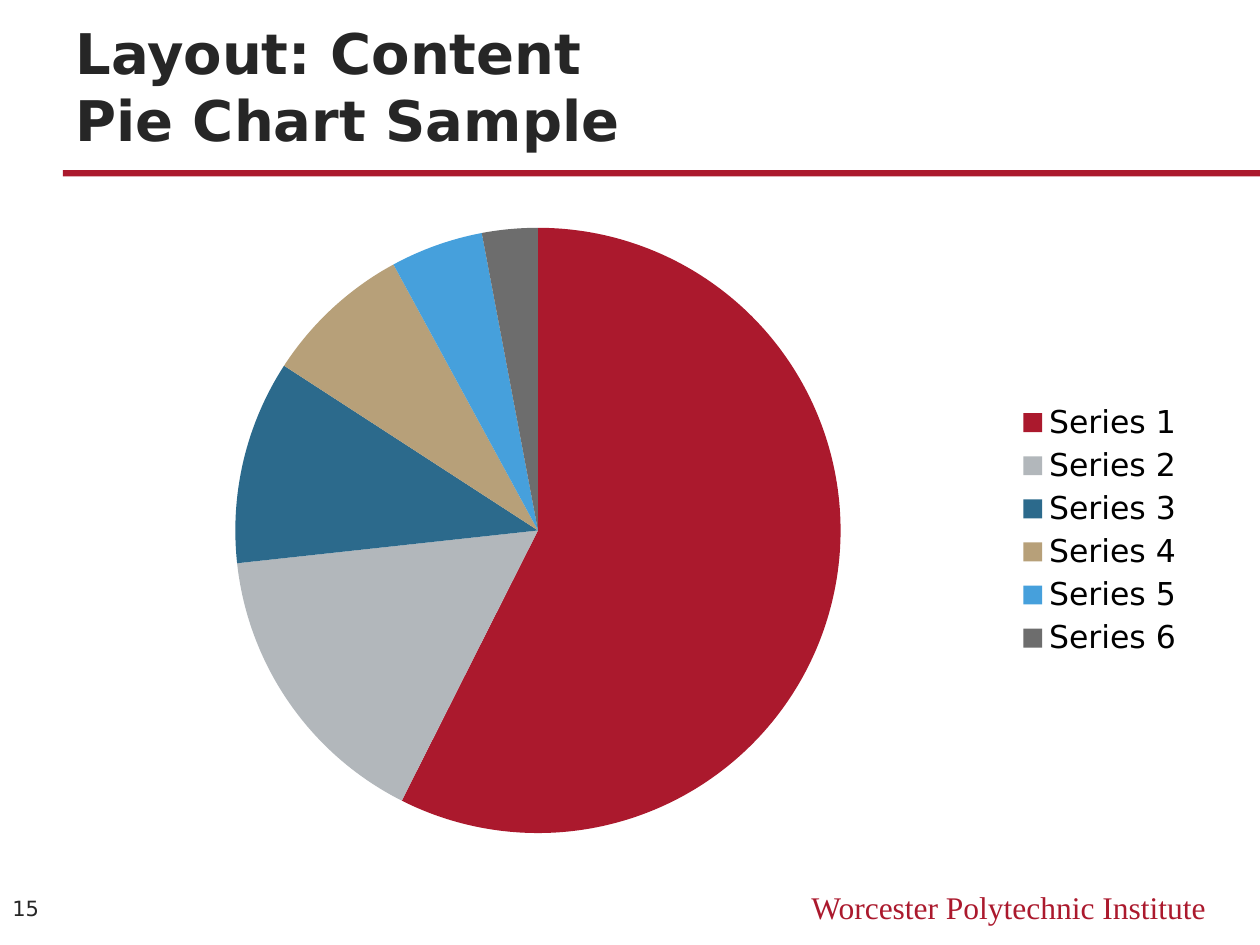
from dataclasses import dataclass

from pptx import Presentation
from pptx.chart.data import CategoryChartData
from pptx.dml.color import RGBColor
from pptx.enum.chart import XL_CHART_TYPE, XL_LEGEND_POSITION
from pptx.enum.shapes import MSO_SHAPE
from pptx.enum.text import MSO_ANCHOR, PP_ALIGN
from pptx.util import Inches, Pt


@dataclass(frozen=True)
class Theme:
    red: str = "AB192D"
    ink: str = "262626"
    black: str = "000000"
    slices: tuple = ("AB192D", "B2B7BB", "2C6A8C", "B7A079", "46A0DC", "6D6D6D")
    sans: str = "DejaVu Sans"
    serif: str = "Times New Roman"
    title: int = 32
    body: int = 18
    small: int = 12


THEME = Theme()
SHARES = (58, 16, 11, 8, 5, 3)


def style_font(font, color, **formats):
    font.color.rgb = RGBColor.from_string(color)
    for name, value in formats.items():
        setattr(font, name, value)


def add_text(s, box, text, color, anchor=MSO_ANCHOR.TOP, align=PP_ALIGN.LEFT, **formats):
    tf = s.shapes.add_textbox(*map(Inches, box)).text_frame
    tf.word_wrap = True
    tf.vertical_anchor = anchor
    p = tf.paragraphs[0]
    p.text = text
    p.alignment = align
    for r in p.runs:
        style_font(r.font, color, **formats)


def add_header(s, box):
    left, top, width, height = box
    add_text(s, (left, top, 9, 0.88), "Layout: Content\vPie Chart Sample", THEME.ink,
             anchor=MSO_ANCHOR.BOTTOM, name=THEME.sans, size=Pt(THEME.title), bold=True)
    thickness = 0.05
    rule_box = (left, top + height - thickness, width, thickness)
    rule = s.shapes.add_shape(MSO_SHAPE.RECTANGLE, *map(Inches, rule_box))
    rule.shadow.inherit = False
    rule.fill.solid()
    rule.fill.fore_color.rgb = RGBColor.from_string(THEME.red)
    rule.line.fill.background()


def add_pie(s, box):
    data = CategoryChartData()
    data.categories = [f"Series {i}" for i in range(1, len(SHARES) + 1)]
    data.add_series("Series 1", SHARES)
    chart = s.shapes.add_chart(XL_CHART_TYPE.PIE, *map(Inches, box), data).chart
    style_font(chart.font, THEME.black, name=THEME.sans, size=Pt(THEME.body))
    chart.has_title = False
    chart.has_legend = True
    chart.legend.position = XL_LEGEND_POSITION.RIGHT
    chart.legend.include_in_layout = False
    plot = chart.plots[0]
    plot.vary_by_categories = True
    for i, color in enumerate(THEME.slices):
        fill = plot.series[0].points[i].format.fill
        fill.solid()
        fill.fore_color.rgb = RGBColor.from_string(color)


def add_footer(s, box):
    left, top, width, height = box
    add_text(s, (left, top, 0.5, height), "15", THEME.ink,
             anchor=MSO_ANCHOR.MIDDLE, name=THEME.sans, size=Pt(THEME.small))
    name_width = 3.67
    add_text(s, (left + width - name_width, top, name_width, height),
             "Worcester Polytechnic Institute", THEME.red,
             align=PP_ALIGN.RIGHT, name=THEME.serif, size=Pt(THEME.body))


def main():
    prs = Presentation()
    prs.slide_width, prs.slide_height = Inches(10), Inches(7.5)
    s = prs.slides.add_slide(prs.slide_layouts[6])
    add_header(s, (0.5, 0.38, 9.5, 1.02))
    add_pie(s, (0.5, 1.67, 9, 5.08))
    add_footer(s, (0, 7, 9.67, 0.42))
    prs.save("out.pptx")


if __name__ == "__main__":
    main()
